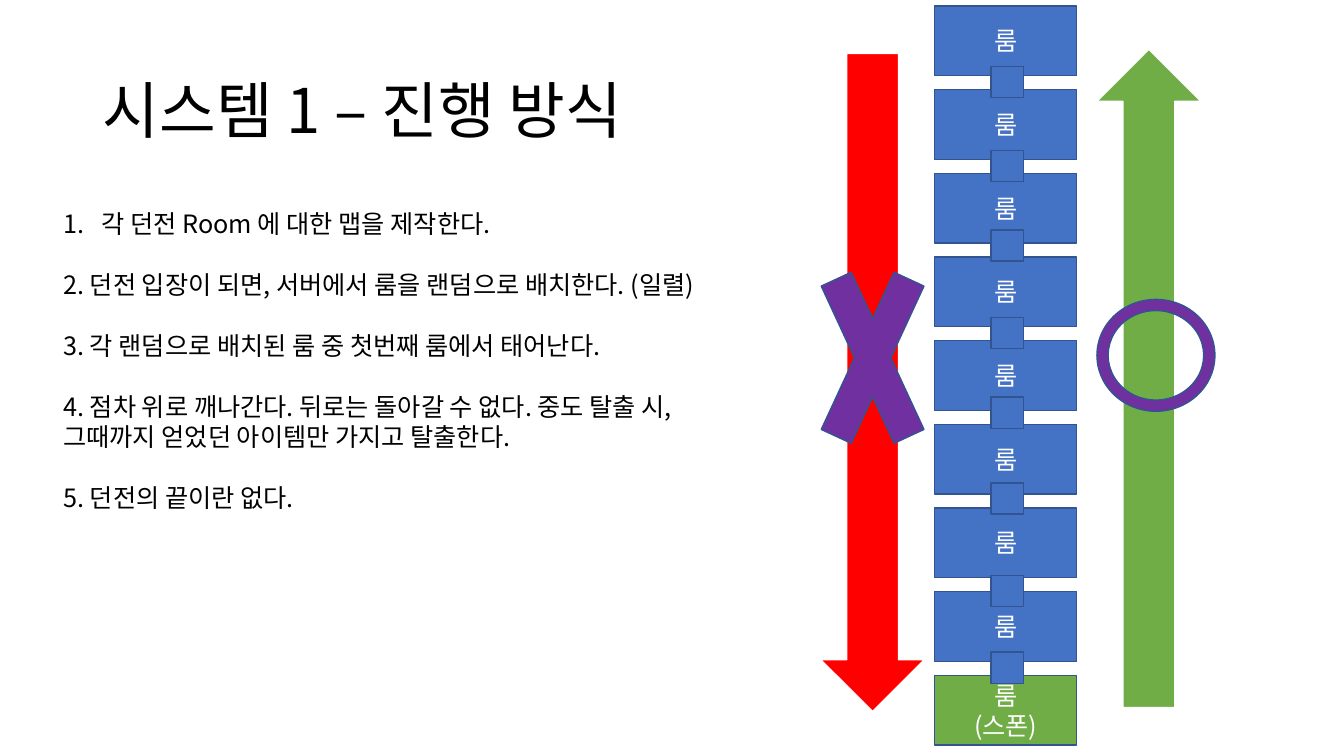
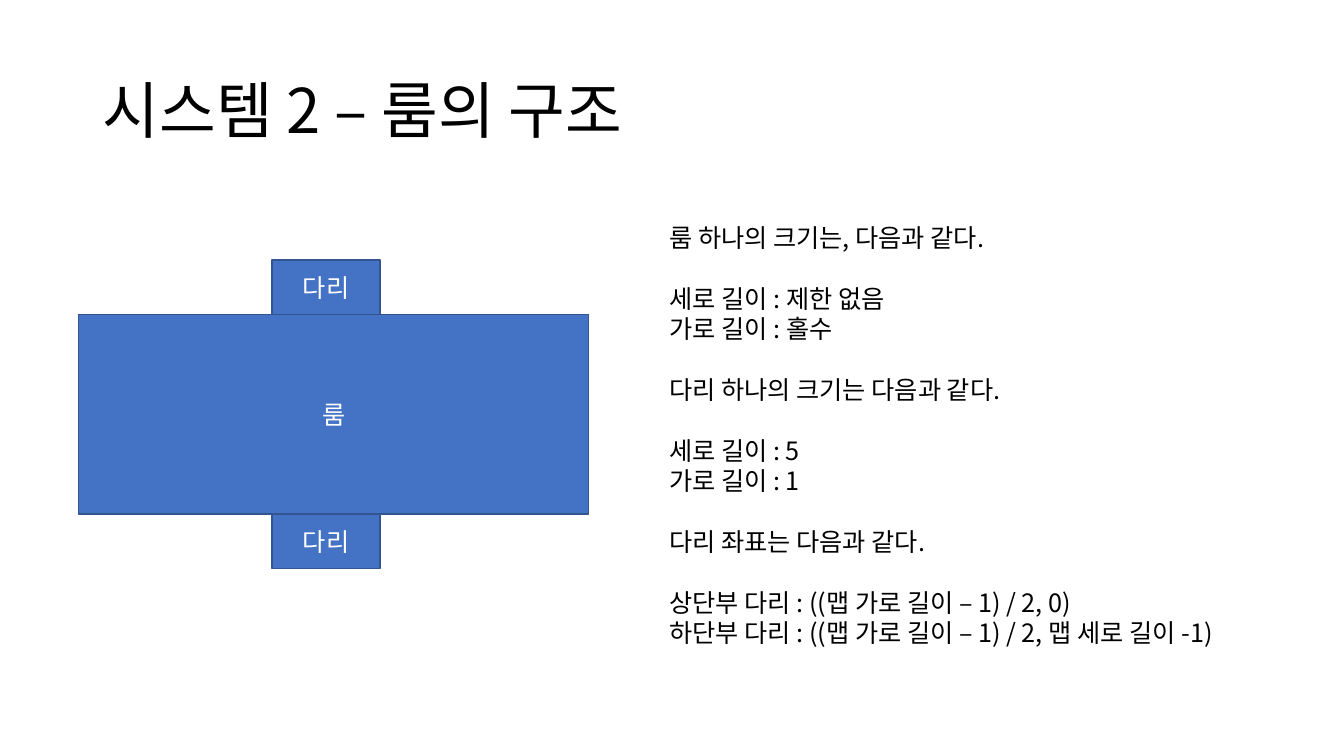
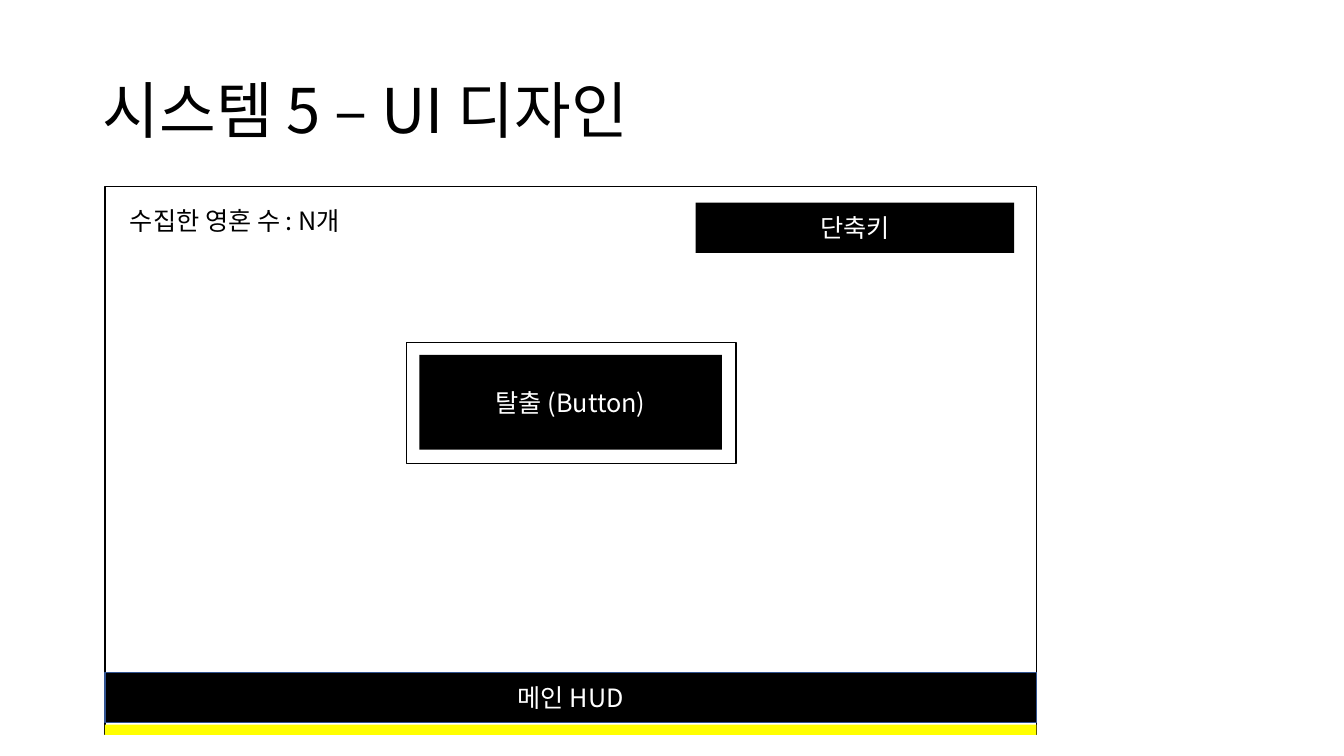
"""Build three slides on a dungeon game's progress, room layout and UI."""
from lxml import etree
from pptx import Presentation
from pptx.dml.color import RGBColor
from pptx.enum import shapes, text
from pptx.oxml import ns
from pptx.util import Inches, Pt

FONT = "Noto Sans CJK KR"
BLACK = RGBColor(0x00, 0x00, 0x00)
WHITE = RGBColor(0xFF, 0xFF, 0xFF)
BLUE = RGBColor(0x44, 0x72, 0xC4)
NAVY = RGBColor(0x32, 0x54, 0x91)
GREEN = RGBColor(0x70, 0xAD, 0x47)
RED = RGBColor(0xFF, 0x00, 0x00)
PURPLE = RGBColor(0x70, 0x30, 0xA0)
YELLOW = RGBColor(0xFF, 0xFF, 0x00)
BODY_SIZE = 18
GROUP_GAP = Pt(21.8)
KIND = shapes.MSO_SHAPE

STEPS = [
    ["각 던전 Room 에 대한 맵을 제작한다."],
    ["2. 던전 입장이 되면, 서버에서 룸을 랜덤으로 배치한다. (일렬)"],
    ["3. 각 랜덤으로 배치된 룸 중 첫번째 룸에서 태어난다."],
    ["4. 점차 위로 깨나간다. 뒤로는 돌아갈 수 없다. 중도 탈출 시, "
     "그때까지 얻었던 아이템만 가지고 탈출한다."],
    ["5. 던전의 끝이란 없다."],
]
ROOM_RULES = [
    ["룸 하나의 크기는, 다음과 같다."],
    ["세로 길이 : 제한 없음", "가로 길이 : 홀수"],
    ["다리 하나의 크기는 다음과 같다."],
    ["세로 길이 : 5", "가로 길이 : 1"],
    ["다리 좌표는 다음과 같다."],
    ["상단부 다리 : ((맵 가로 길이 – 1) / 2, 0)",
     "하단부 다리 : ((맵 가로 길이 – 1) / 2, 맵 세로 길이 -1)"],
]
ROOM_COUNT = 9
ROOM_PITCH = 0.83
BRIDGE_TOPS = [0.66, 1.49, 2.28, 3.15, 3.94, 4.79, 5.71, 6.47]


def style_runs(p, size, color):
    for r in p.runs:
        r.font.name = FONT
        r.font.size = Pt(size)
        r.font.color.rgb = color
        ea = etree.SubElement(r._r.get_or_add_rPr(), ns.qn("a:ea"))
        ea.set("typeface", FONT)


def add_text(s, box, groups, size=BODY_SIZE):
    tf = s.shapes.add_textbox(*map(Inches, box)).text_frame
    tf.word_wrap = True
    tf.text = "\n".join(line for group in groups for line in group)
    lines = iter(tf.paragraphs)
    for g, group in enumerate(groups):
        for i, _ in enumerate(group):
            p = next(lines)
            style_runs(p, size, BLACK)
            if g and not i:
                p.space_before = GROUP_GAP
    return tf


def number_paragraph(p):
    pPr = p._p.get_or_add_pPr()
    pPr.set("marL", str(Inches(0.38)))
    pPr.set("indent", str(-Inches(0.38)))
    etree.SubElement(pPr, ns.qn("a:buAutoNum")).set("type", "arabicPeriod")


def add_shape(s, box, fill=BLUE, line=NAVY, label="", kind=KIND.RECTANGLE):
    sp = s.shapes.add_shape(kind, *map(Inches, box))
    sp.shadow.inherit = False
    sp.fill.solid()
    sp.fill.fore_color.rgb = fill
    if line is None:
        sp.line.fill.background()
    else:
        sp.line.color.rgb = line
        sp.line.width = Pt(1)
    if label:
        tf = sp.text_frame
        tf.text = label
        tf.vertical_anchor = text.MSO_ANCHOR.MIDDLE
        for p in tf.paragraphs:
            p.alignment = text.PP_ALIGN.CENTER
            style_runs(p, BODY_SIZE, WHITE)
    return sp


def add_slide(prs, title):
    s = prs.slides.add_slide(prs.slide_layouts[6])
    tf = add_text(s, (0.92, 0.4, 11.5, 1.45), [[title]], 44)
    tf.vertical_anchor = text.MSO_ANCHOR.MIDDLE
    tf.paragraphs[0].line_spacing = 0.9
    return s


def progress_slide(prs):
    s = add_slide(prs, "시스템 1 – 진행 방식")
    tf = add_text(s, (0.53, 2.02, 6.67, 3.43), STEPS)
    number_paragraph(tf.paragraphs[0])
    for i in range(ROOM_COUNT):
        spawn = i == ROOM_COUNT - 1
        add_shape(s, (9.27, 0.06 + i * ROOM_PITCH, 1.41, 0.69),
                  GREEN if spawn else BLUE, label="룸\n(스폰)" if spawn else "룸")
    for top in BRIDGE_TOPS:
        add_shape(s, (9.83, top, 0.32, 0.31))
    add_shape(s, (8.14, 0.53, 1.03, 6.53), RED, WHITE, kind=KIND.DOWN_ARROW)
    add_shape(s, (10.88, 0.49, 1.03, 6.53), GREEN, WHITE, kind=KIND.UP_ARROW)
    add_shape(s, (7.96, 2.05, 1.39, 3), PURPLE, kind=KIND.MATH_MULTIPLY)
    ring = add_shape(s, (10.88, 2.97, 1.17, 1.11), PURPLE, kind=KIND.DONUT)
    ring.adjustments[0] = 0.1


def room_slide(prs):
    s = add_slide(prs, "시스템 2 – 룸의 구조")
    add_shape(s, (0.78, 3.12, 5.06, 1.98), label="룸")
    add_text(s, (6.54, 2.16, 6.6, 4.34), ROOM_RULES)
    for top in (5.1, 2.58):
        add_shape(s, (2.7, top, 1.07, 0.54), label="다리")


def ui_slide(prs):
    s = add_slide(prs, "시스템 5 – UI 디자인")
    left, width = 1.04, 9.24
    add_shape(s, (left, 1.85, width, 5.44), WHITE, BLACK)
    add_shape(s, (left, 6.67, width, 0.5), BLACK, label="메인 HUD")
    add_shape(s, (left, 7.19, width, 0.1), YELLOW, None)
    add_shape(s, (6.9, 2.01, 3.16, 0.5), BLACK, None, "단축키")
    add_text(s, (1.19, 1.99, 3.27, 0.4), [["수집한 영혼 수 : N개"]])
    add_shape(s, (4.03, 3.4, 3.27, 1.2), WHITE, BLACK)
    add_shape(s, (4.16, 3.52, 3, 0.94), BLACK, None, "탈출 (Button)")


def main():
    prs = Presentation()
    prs.slide_width, prs.slide_height = Inches(13.33), Inches(7.5)
    progress_slide(prs)
    room_slide(prs)
    ui_slide(prs)
    prs.save("out.pptx")


if __name__ == "__main__":
    main()
